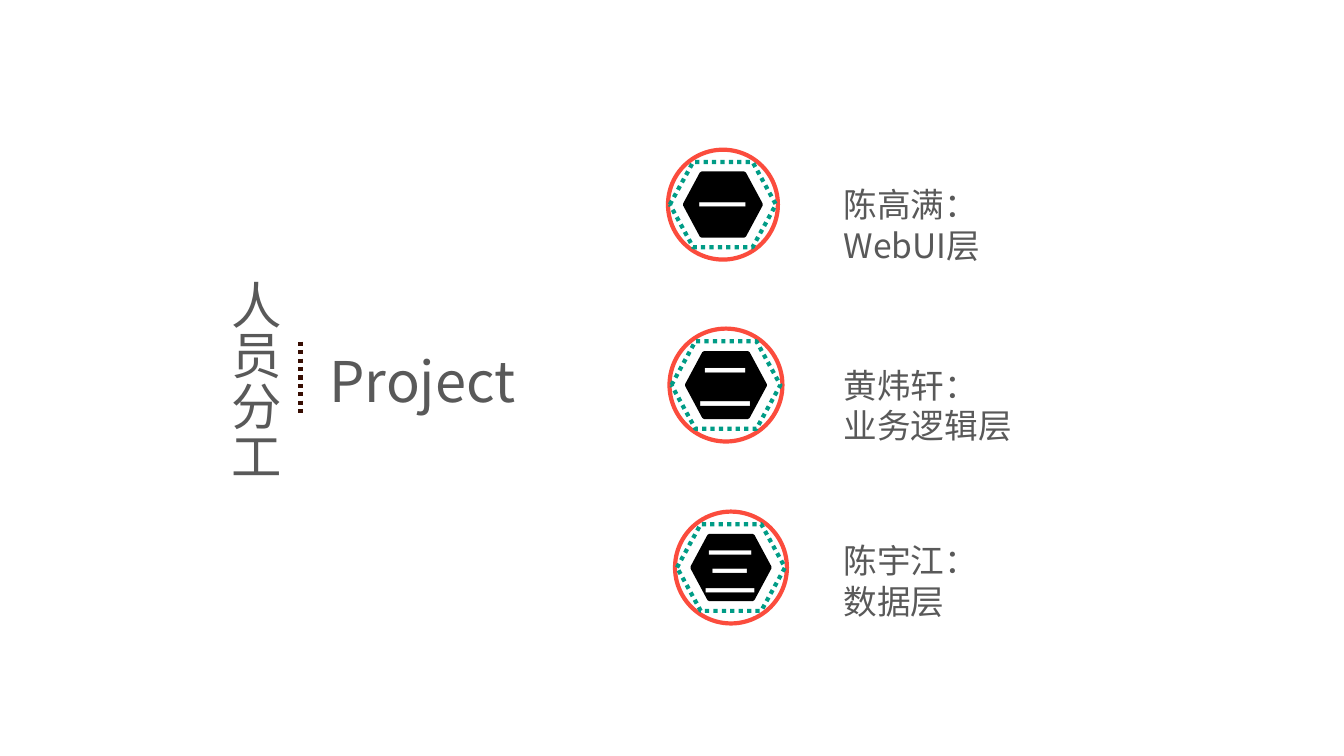
from lxml import etree
from pptx import Presentation
from pptx import util as u
from pptx.dml.color import RGBColor
from pptx.enum import dml, shapes, text
from pptx.oxml.ns import qn

GREY, RED, GREEN, BLACK, WHITE, BROWN = "595959", "FB4C3D", "009C86", "000000", "FFFFFF", "360D02"


def rgb(value):
    return RGBColor.from_string(value)


class Deck:
    """Holds the slide style and draws each kind of element."""

    font = "Noto Sans CJK SC"
    line_width = u.Pt(3)

    def __init__(self):
        self.prs = Presentation()
        self.prs.slide_width, self.prs.slide_height = u.Inches(13.33), u.Inches(7.5)
        self.s = self.prs.slides.add_slide(self.prs.slide_layouts[6])

    def stroke(self, line, color, dotted=False):
        line.color.rgb = rgb(color)
        line.width = self.line_width
        if dotted:
            line.dash_style = dml.MSO_LINE.ROUND_DOT

    def outline(self, sp, color, fill=None, dotted=False):
        sp.shadow.inherit = False
        if fill:
            sp.fill.solid()
            sp.fill.fore_color.rgb = rgb(fill)
        else:
            sp.fill.background()
        self.stroke(sp.line, color, dotted)

    def text(self, x, y, w, h, lines, size, color=GREY, align=None, vertical=False):
        sp = self.s.shapes.add_textbox(*map(u.Inches, (x, y, w, h)))
        tf = sp.text_frame
        tf.word_wrap = True
        tf.text = lines
        if vertical:
            tf._txBody.find(qn("a:bodyPr")).set("vert", "eaVert")
        for p in tf.paragraphs:
            p.alignment = align
            p.font.size = u.Pt(size)
            p.font.color.rgb = rgb(color)
            p.font.name = self.font
            ea = etree.SubElement(p.font._rPr, qn("a:ea"))
            ea.set("typeface", self.font)

    def dotted_line(self, x1, y1, x2, y2, color):
        c = self.s.shapes.add_connector(
            shapes.MSO_CONNECTOR.STRAIGHT, *map(u.Inches, (x1, y1, x2, y2)))
        self.stroke(c.line, color, dotted=True)
        etree.SubElement(c._element.spPr, qn("a:effectLst"))

    def circle(self, cx, cy, d, color):
        sp = self.s.shapes.add_shape(
            shapes.MSO_SHAPE.OVAL, *map(u.Inches, (cx - d / 2, cy - d / 2, d, d)))
        self.outline(sp, color)

    def hexagon(self, cx, cy, w, h, color, fill=None, dotted=False):
        flat = 0.28 * w
        corners = [(-w / 2, 0), (-flat, -h / 2), (flat, -h / 2),
                   (w / 2, 0), (flat, h / 2), (-flat, h / 2)]
        points = [(u.Inches(cx + dx), u.Inches(cy + dy)) for dx, dy in corners]
        fb = self.s.shapes.build_freeform(*points[0])
        fb.add_line_segments(points[1:], close=True)
        self.outline(fb.convert_to_shape(), color, fill, dotted)

    def badge(self, cx, cy, d, number, number_top, size):
        self.circle(cx, cy, d, RED)
        self.hexagon(cx, cy, 0.69 * d, 0.565 * d, BLACK, fill=BLACK)
        self.hexagon(cx, cy, 0.965 * d, 0.775 * d, GREEN, dotted=True)
        self.text(cx - 0.38, number_top, 0.76, 0.77, number, size, WHITE,
                  text.PP_ALIGN.CENTER)


def main():
    deck = Deck()
    deck.text(2.07, 2.68, 0.81, 2.34, "人员分工", 36, vertical=True)
    deck.dotted_line(2.98, 3.39, 2.98, 4.11, BROWN)
    deck.text(3.17, 3.39, 2.78, 0.77, "Project", 40)

    members = [
        ("陈高满：WebUI层", 1.78, (7.17, 2.03, 1.09, "一", 1.68, 36)),
        ("黄炜轩：\n业务逻辑层", 3.57, (7.2, 3.82, 1.12, "二", 3.44, 40)),
        ("陈宇江：\n数据层", 5.31, (7.25, 5.63, 1.11, "三", 5.27, 40)),
    ]
    for label, top, badge in members:
        deck.text(8.27, top, 2.26, 0.91, label, 24)
        deck.badge(*badge)
    deck.prs.save("out.pptx")


if __name__ == "__main__":
    main()
